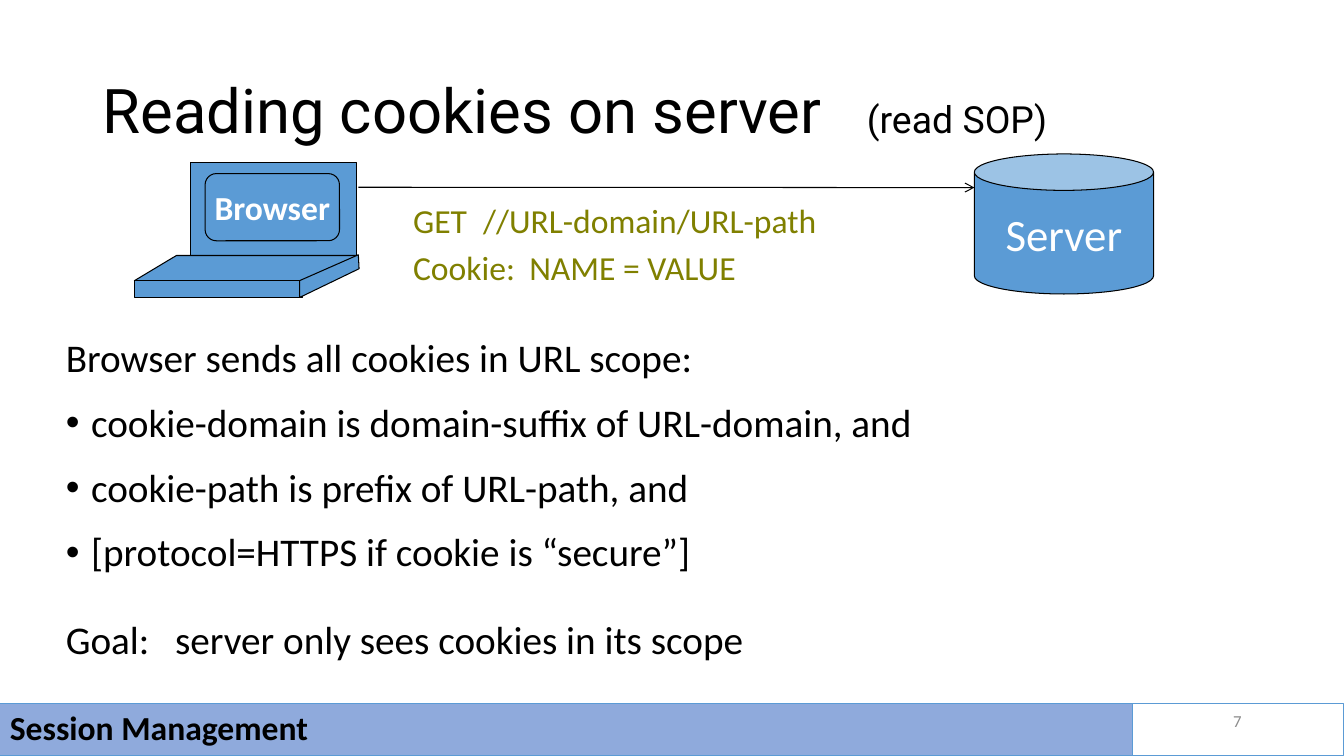
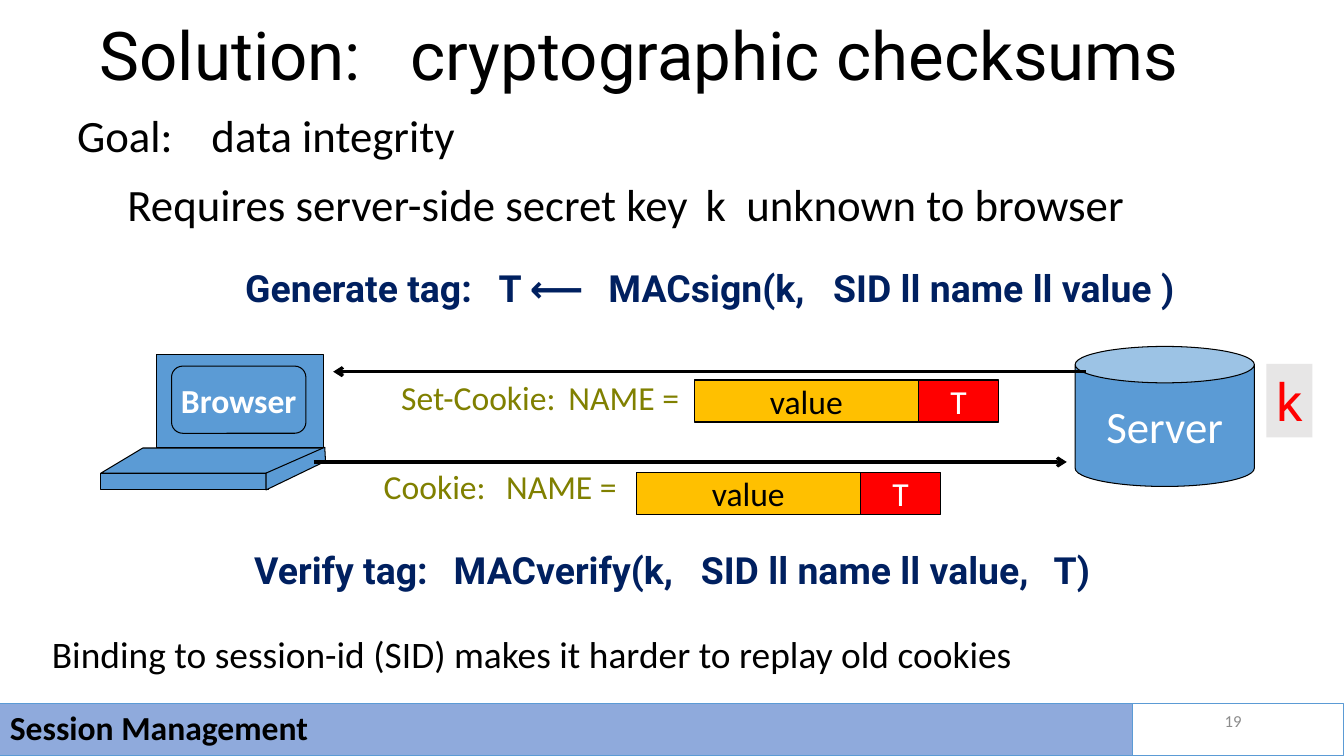
from dataclasses import dataclass

from lxml.etree import SubElement
from pptx import Presentation
from pptx.dml.color import RGBColor
from pptx.enum.shapes import MSO_CONNECTOR, MSO_SHAPE as SHAPE
from pptx.enum.text import MSO_ANCHOR as ANCHOR, MSO_AUTO_SIZE, PP_ALIGN as ALIGN
from pptx.oxml.ns import qn
from pptx.util import Pt


@dataclass(frozen=True)
class Theme:
    black: str = "000000"
    white: str = "FFFFFF"
    blue: str = "5B9BD5"
    can_lid: str = "9DC3E6"
    band: str = "8FAADC"
    olive: str = "808000"
    navy: str = "002060"
    amber: str = "FFC000"
    red: str = "FF0000"
    light_gray: str = "E7E6E6"
    gray: str = "8C8C8C"
    body_font: str = "Calibri"
    title_font: str = "Roboto"
    number_size: float = 12
    label_size: float = 24
    note_size: float = 26.7
    body_size: float = 28
    large_size: float = 32
    key_size: float = 37.3


theme = Theme()


def write(frame, text, paragraph=None, size=theme.label_size, color=theme.black,
          font=theme.body_font, bold=False, align=ALIGN.LEFT, anchor=ANCHOR.TOP,
          wrap=True, line_spacing=1.0, space_before=0, bullet=False, tabs=()):
    """Add a run to the given paragraph, or a new paragraph to the frame."""
    frame.word_wrap = wrap
    frame.auto_size = MSO_AUTO_SIZE.NONE
    frame.vertical_anchor = anchor
    if paragraph is None:
        first = frame.paragraphs[0]
        paragraph = frame.add_paragraph() if first.runs else first
        paragraph.alignment = align
        paragraph.line_spacing = line_spacing
        paragraph.space_before = Pt(space_before)
        properties = paragraph._p.get_or_add_pPr()
        if bullet:
            properties.set("marL", str(Pt(18)))
            properties.set("indent", str(-Pt(18)))
            SubElement(properties, qn("a:buFont"), typeface="Arial")
            SubElement(properties, qn("a:buChar"), char="•")
        if tabs:
            tab_list = SubElement(properties, qn("a:tabLst"))
            for position in tabs:
                SubElement(tab_list, qn("a:tab"), pos=str(Pt(position)), algn="l")
    run = paragraph.add_run()
    run.text = text
    run.font.size = Pt(size)
    run.font.name = font
    run.font.bold = bold
    run.font.color.rgb = RGBColor.from_string(color)
    return paragraph


def draw(shapes, kind, box, fill=theme.blue, line=theme.black, line_width=0.75):
    """Add a shape; kind is a preset, or a list of outline points for a freeform."""
    if isinstance(kind, list):
        builder = shapes.build_freeform(*(Pt(value) for value in kind[0]))
        builder.add_line_segments([(Pt(x), Pt(y)) for x, y in kind[1:]])
        shape = builder.convert_to_shape()
    else:
        shape = shapes.add_shape(kind, *(Pt(value) for value in box))
    shape.shadow.inherit = False
    if fill:
        shape.fill.solid()
        shape.fill.fore_color.rgb = RGBColor.from_string(fill)
    else:
        shape.fill.background()
    if line:
        shape.line.color.rgb = RGBColor.from_string(line)
        shape.line.width = Pt(line_width)
    else:
        shape.line.fill.background()
    return shape


presentation = Presentation()
presentation.slide_width = Pt(960)
presentation.slide_height = Pt(540)
title_only = presentation.slide_layouts[5]

scenes = [
    dict(title="Reading cookies on server", subtitle="\t(read SOP)", title_size=44,
         title_box=(66, 29, 828, 104), title_tabs=[546],
         laptop=(96, 116), server=(696, 110), number="7",
         arrows=[(256, 133.75, 696, 134)], arrow_width=0.75),
    dict(title="Solution:\tcryptographic checksums", subtitle="", title_size=48,
         title_box=(64, 6, 848, 72), title_tabs=[222],
         laptop=(72, 253.5), server=(768, 247.5), number="19",
         arrows=[(776, 265.5, 238, 265.5), (224, 330, 762, 330)], arrow_width=2.25),
]

slides = []
for scene in scenes:
    slide = presentation.slides.add_slide(title_only)
    slides.append(slide)

    title = slide.shapes.title
    title.left, title.top, title.width, title.height = map(Pt, scene["title_box"])
    paragraph = write(title.text_frame, scene["title"], size=scene["title_size"],
                      font=theme.title_font, anchor=ANCHOR.MIDDLE,
                      line_spacing=0.9, tabs=scene["title_tabs"])
    if scene["subtitle"]:
        write(title.text_frame, scene["subtitle"], paragraph, size=theme.note_size,
              font=theme.title_font, anchor=ANCHOR.MIDDLE)

    x, y = scene["laptop"]
    laptop = slide.shapes.add_group_shape().shapes
    draw(laptop, SHAPE.RECTANGLE, (x + 40, y, 119, 66.5))
    display = draw(laptop, SHAPE.ROUNDED_RECTANGLE, (x + 50.5, y + 8, 96, 48))
    write(display.text_frame, "Browser", color=theme.white, bold=True,
          align=ALIGN.CENTER, anchor=ANCHOR.MIDDLE, wrap=False)
    keyboard = draw(laptop, SHAPE.PARALLELOGRAM, (x, y + 66.5, 160, 18))
    keyboard.adjustments[0] = 1.67
    draw(laptop, SHAPE.RECTANGLE, (x, y + 84.5, 120, 12))
    draw(laptop, [(x + 118, y + 96.5), (x + 160.5, y + 76), (x + 160, y + 66),
                  (x + 118, y + 84.5)], None)

    server = draw(slide.shapes, SHAPE.CAN, (*scene["server"], 128, 100))
    server.adjustments[0] = 0.26
    write(server.text_frame, "Server", size=theme.large_size, color=theme.white,
          align=ALIGN.CENTER, anchor=ANCHOR.MIDDLE, wrap=False)

    for ends in scene["arrows"]:
        arrow = slide.shapes.add_connector(MSO_CONNECTOR.STRAIGHT, *map(Pt, ends))
        arrow.line.color.rgb = RGBColor.from_string(theme.black)
        arrow.line.width = Pt(scene["arrow_width"])
        properties = arrow._element.spPr
        SubElement(properties.find(qn("a:ln")), qn("a:tailEnd"), type="arrow")
        SubElement(properties, qn("a:effectLst"))

    footer = draw(slide.shapes, SHAPE.RECTANGLE, (0, 502.5, 809, 37.5),
                  theme.band, theme.blue)
    write(footer.text_frame, "Session Management", bold=True,
          anchor=ANCHOR.MIDDLE, line_spacing=0.9)
    draw(slide.shapes, SHAPE.RECTANGLE, (809, 502.5, 151, 37.5), None, theme.blue)
    number = slide.shapes.add_textbox(Pt(678), Pt(500.5), Pt(216), Pt(29))
    write(number.text_frame, scene["number"], size=theme.number_size,
          color=theme.gray, align=ALIGN.RIGHT, anchor=ANCHOR.MIDDLE)

reading, checksums = slides

# Reading cookies: request and scope rules
request = reading.shapes.add_textbox(Pt(288), Pt(139.5), Pt(305), Pt(71))
write(request.text_frame, "GET\t//URL-domain/URL-path", color=theme.olive, tabs=[50])
write(request.text_frame, "Cookie:\tNAME = VALUE", color=theme.olive,
      space_before=4.5, tabs=[83])

rules = reading.shapes.add_textbox(Pt(40), Pt(238.5), Pt(888), Pt(250)).text_frame
write(rules, "Browser sends all cookies in URL scope:", size=theme.body_size,
      line_spacing=0.9)
for rule in ("cookie-domain is domain-suffix of URL-domain, and",
             "cookie-path is prefix of URL-path, and",
             "[protocol=HTTPS if cookie is “secure”]"):
    write(rules, rule, size=theme.body_size, line_spacing=0.9, space_before=16,
          bullet=True)
write(rules, "Goal:\tserver only sees cookies in its scope", size=theme.body_size,
      line_spacing=0.9, space_before=32, tabs=[78])

# Checksums: goal, tag formulas and tagged cookies
goal = checksums.shapes.add_textbox(Pt(48), Pt(73.5), Pt(800), Pt(96)).text_frame
write(goal, "Goal:\tdata integrity", size=theme.large_size, tabs=[96])
write(goal, "\tRequires server-side secret key\tk\tunknown to browser",
      size=theme.large_size, space_before=10.7, tabs=[36, 449, 478])

for left, top, formula, tabs in (
        (168, 186, "Generate tag:\tT ⟵\tMACsign(k,\tSID ll name ll value )",
         [181, 259.5, 420]),
        (174.5, 387.5, "Verify tag:\tMACverify(k,\tSID ll name ll value,\tT)",
         [142.5, 319, 571])):
    box = checksums.shapes.add_textbox(Pt(left), Pt(top), Pt(760), Pt(39.5))
    write(box.text_frame, formula, size=theme.note_size, color=theme.navy,
          font=theme.title_font, bold=True, tabs=tabs)

for label, label_left, label_top, tab, value_left, value_top in (
        ("Set-Cookie:\tNAME =", 279.5, 265.5, 119.5, 496, 271.5),
        ("Cookie:\tNAME =", 267, 329.5, 87.5, 454.5, 337.5)):
    box = checksums.shapes.add_textbox(Pt(label_left), Pt(label_top), Pt(222), Pt(36))
    write(box.text_frame, label, color=theme.olive, tabs=[tab])
    for text, left, width, fill, color in (
            ("value", value_left, 160, theme.amber, theme.black),
            ("T", value_left + 160, 57.5, theme.red, theme.white)):
        cell = draw(checksums.shapes, SHAPE.RECTANGLE, (left, value_top, width, 30),
                    fill, line_width=1)
        cell.text_frame.margin_top = cell.text_frame.margin_bottom = 0
        write(cell.text_frame, text, color=color, align=ALIGN.CENTER,
              anchor=ANCHOR.MIDDLE, wrap=False)

key = draw(checksums.shapes, SHAPE.RECTANGLE, (904.5, 260, 33, 52.5),
           theme.light_gray, None)
write(key.text_frame, "k", size=theme.key_size, color=theme.red,
      font=theme.title_font, align=ALIGN.CENTER, anchor=ANCHOR.MIDDLE, wrap=False)

note = checksums.shapes.add_textbox(Pt(30), Pt(447), Pt(710), Pt(39.5))
write(note.text_frame, "Binding to session-id (SID) makes it harder to replay old cookies",
      size=theme.note_size)

presentation.save("out.pptx")
